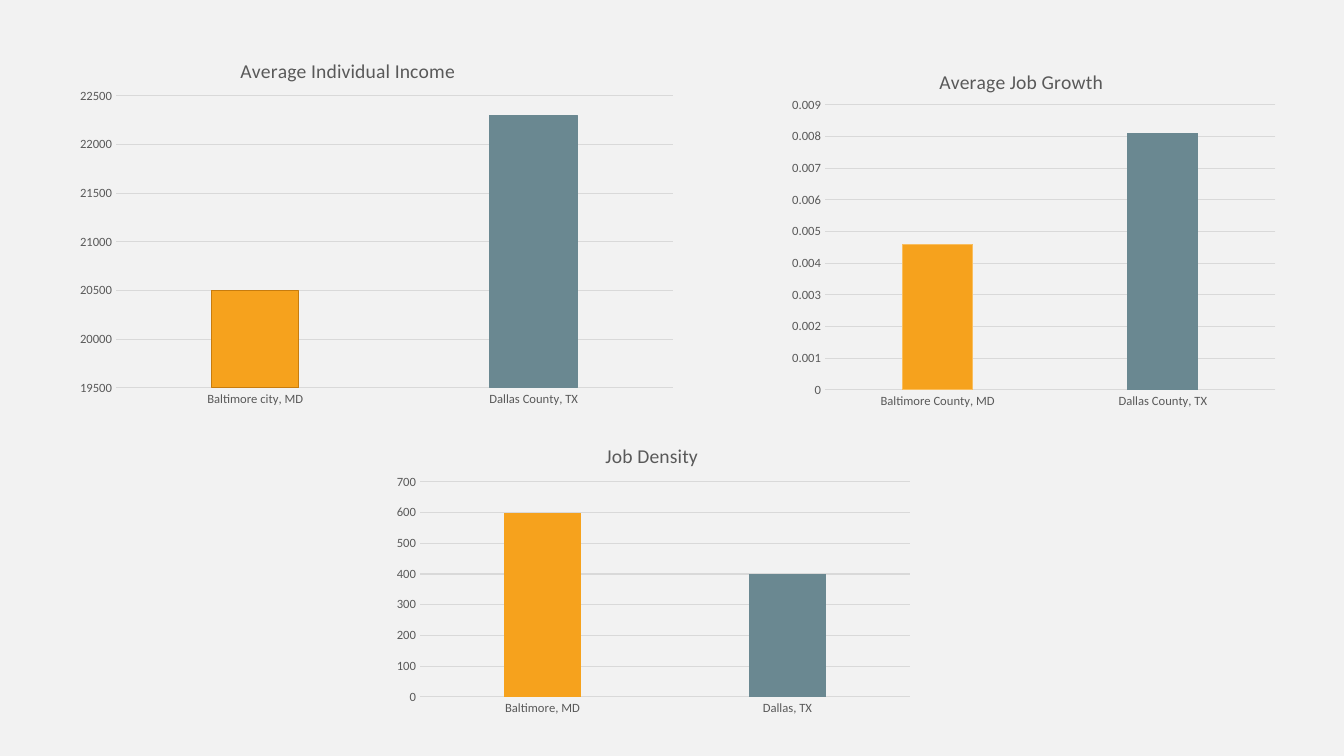
import lxml.etree
import pptx
import pptx.chart.data
import pptx.dml.color
import pptx.enum.chart
import pptx.oxml.ns
import pptx.util

PX = 9071  # EMU in one px, 100.8 px to the inch
THEME = {
    "back": "F2F2F2", "text": "595959", "grid": "D9D9D9",
    "gold": "F6A21D", "slate": "6A8891", "brown": "C77C0E", "pale": "F9BE5F",
    "font": "Calibri", "title": 14, "label": 9, "line": 0.75,
}


def color(name):
    return pptx.dml.color.RGBColor.from_string(THEME[name])


def place(parent, index, values):
    """Give a chart part a fixed layout, as shares of the chart frame."""
    qn = pptx.oxml.ns.qn
    for old in parent.findall(qn("c:layout")):
        parent.remove(old)
    layout = lxml.etree.Element(qn("c:layout"))
    manual = lxml.etree.SubElement(layout, qn("c:manualLayout"))
    for key, val in values.items():
        lxml.etree.SubElement(manual, qn("c:" + key)).set("val", str(val))
    parent.insert(index, layout)


# Frame and plot are left, top, width, height; head is left, top of the title
charts = [
    {"title": "Average Individual Income", "frame": (68, 34, 617, 380),
     "plot": (116, 96, 557, 292), "head": (237, 54), "scale": (19500, 22500, 500),
     "data": {"Baltimore city, MD": 20500, "Dallas County, TX": 22300},
     "edges": ("brown", "slate")},
    {"title": "Average Job Growth", "frame": (761, 47, 515, 367),
     "plot": (825, 105, 451, 285), "head": (936, 65), "scale": (0, 0.009, 0.001),
     "data": {"Baltimore County, MD": 0.0046, "Dallas County, TX": 0.0081},
     "edges": ("pale", None)},
    {"title": "Job Density", "frame": (386, 421, 535, 300),
     "plot": (420, 482, 490, 215), "head": (602, 439), "scale": (0, 700, 100),
     "data": {"Baltimore, MD": 600, "Dallas, TX": 400},
     "edges": (None, None)},
]

# Slide and background
deck = pptx.Presentation()
deck.slide_width = pptx.util.Inches(13.333)
deck.slide_height = pptx.util.Inches(7.5)
slide = deck.slides.add_slide(deck.slide_layouts[6])
slide.background.fill.solid()
slide.background.fill.fore_color.rgb = color("back")

for item in charts:
    # Chart and data
    data = pptx.chart.data.CategoryChartData()
    data.categories = list(item["data"])
    data.add_series("Series 1", list(item["data"].values()))
    left, top, width, height = item["frame"]
    chart = slide.shapes.add_chart(
        pptx.enum.chart.XL_CHART_TYPE.COLUMN_CLUSTERED,
        *(n * PX for n in item["frame"]), data).chart
    chart.has_legend = False
    chart.font.name = THEME["font"]
    chart.font.size = pptx.util.Pt(10)

    # Title
    chart.has_title = True
    frame = chart.chart_title.text_frame
    frame.text = item["title"]
    font = frame.paragraphs[0].runs[0].font
    font.name, font.size, font.bold = THEME["font"], pptx.util.Pt(THEME["title"]), False
    font.color.rgb = color("text")
    x, y = item["head"]
    place(chart.chart_title.element, 1, {
        "xMode": "edge", "yMode": "edge",
        "x": (x - left) / width, "y": (y - top) / height})

    # Plot area
    x, y, wide, high = item["plot"]
    area = chart.element.find(".//" + pptx.oxml.ns.qn("c:plotArea"))
    place(area, 0, {
        "layoutTarget": "inner", "xMode": "edge", "yMode": "edge",
        "x": (x - left) / width, "y": (y - top) / height,
        "w": wide / width, "h": high / height})

    # Axes
    for axis in (chart.category_axis, chart.value_axis):
        axis.major_tick_mark = pptx.enum.chart.XL_TICK_MARK.NONE
        axis.minor_tick_mark = pptx.enum.chart.XL_TICK_MARK.NONE
        font = axis.tick_labels.font
        font.name, font.size = THEME["font"], pptx.util.Pt(THEME["label"])
        font.color.rgb = color("text")
    axis.minimum_scale, axis.maximum_scale, axis.major_unit = item["scale"]
    axis.tick_labels.number_format = "General"
    axis.tick_labels.number_format_is_linked = False
    axis.has_major_gridlines = True
    for line in (chart.category_axis.format.line, axis.major_gridlines.format.line):
        line.color.rgb = color("grid")
        line.width = pptx.util.Pt(THEME["line"])
    axis.format.line.fill.background()

    # Columns
    plot = chart.plots[0]
    plot.gap_width, plot.overlap = 219, -27
    plot.vary_by_categories = False
    bars = plot.series[0]
    bars.format.fill.solid()
    bars.format.fill.fore_color.rgb = color("gold")
    for i, (fill, edge) in enumerate(zip(("gold", "slate"), item["edges"])):
        style = bars.points[i].format
        style.fill.solid()
        style.fill.fore_color.rgb = color(fill)
        if edge:
            style.line.color.rgb = color(edge)
            style.line.width = pptx.util.Pt(THEME["line"])
        else:
            style.line.fill.background()

deck.save("out.pptx")
